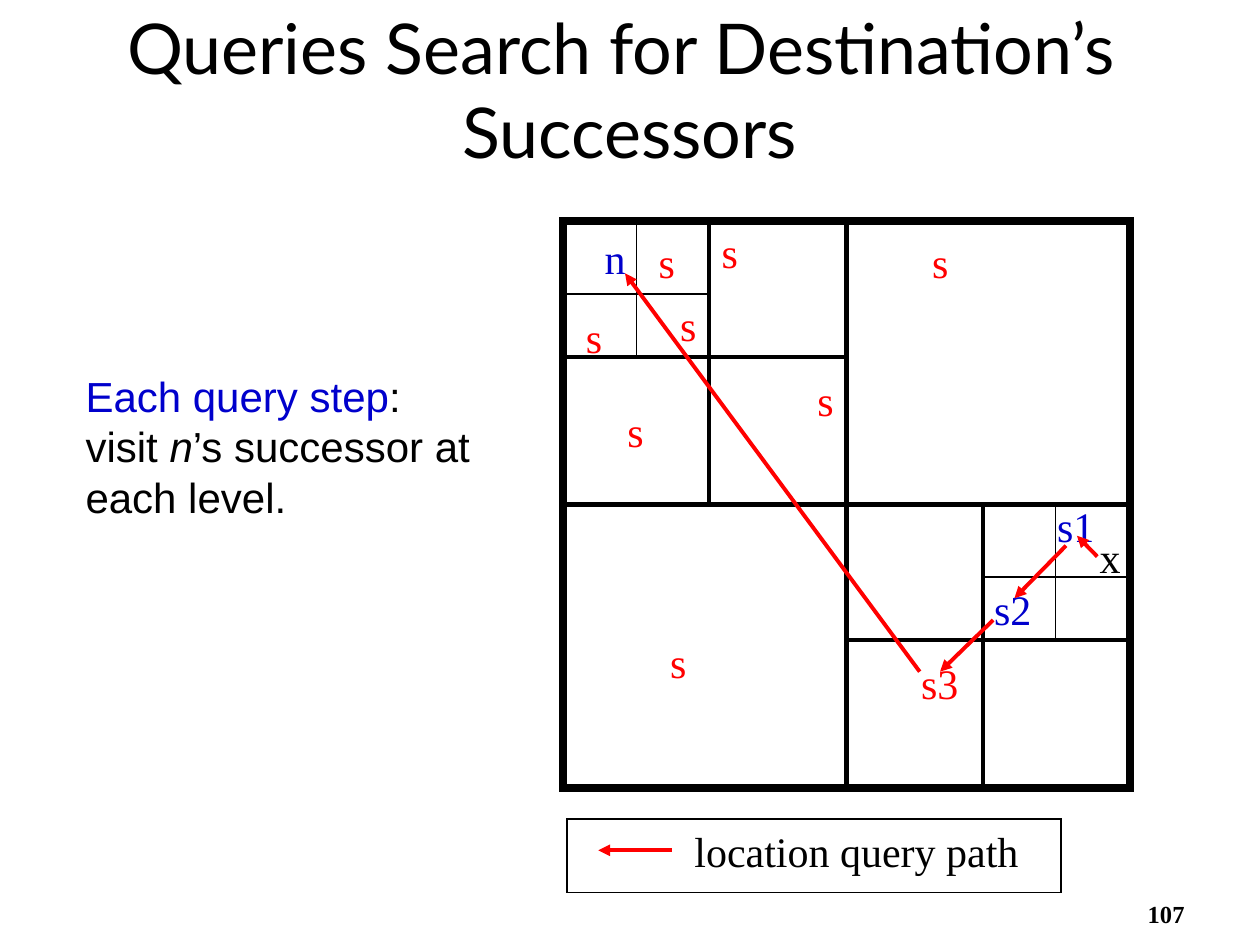
from dataclasses import dataclass

from lxml import etree
from pptx import Presentation
from pptx.dml.color import RGBColor
from pptx.enum.shapes import MSO_CONNECTOR, MSO_SHAPE
from pptx.enum.text import MSO_ANCHOR, MSO_AUTO_SIZE, PP_ALIGN
from pptx.oxml.ns import qn
from pptx.util import Cm, Pt

STRAIGHT = MSO_CONNECTOR.STRAIGHT
RECTANGLE = MSO_SHAPE.RECTANGLE
TOP, BOTTOM = MSO_ANCHOR.TOP, MSO_ANCHOR.BOTTOM
NO_FIT, GROW = MSO_AUTO_SIZE.NONE, MSO_AUTO_SIZE.SHAPE_TO_FIT_TEXT
LEFT, CENTER, RIGHT = PP_ALIGN.LEFT, PP_ALIGN.CENTER, PP_ALIGN.RIGHT


@dataclass(frozen=True)
class Theme:
    black: RGBColor = RGBColor(0, 0, 0)
    blue: RGBColor = RGBColor(0, 0, 0xCC)
    red: RGBColor = RGBColor(0xFF, 0, 0)
    title_font: str = "Lato"
    body_font: str = "Arial"
    label_font: str = "Times New Roman"
    title_size: int = 40
    text_size: int = 24
    number_size: int = 14


class SlideBuilder:
    """Draw styled elements on one slide, with lengths in centimetres."""

    def __init__(self, slide, theme):
        self.slide = slide
        self.theme = theme

    def place(self, shape, left, top, width, height):
        shape.left, shape.top = Cm(left), Cm(top)
        shape.width, shape.height = Cm(width), Cm(height)

    def run(self, paragraph, text, font, size, color, bold=False, italic=False):
        run = paragraph.add_run()
        run.text = text
        run.font.name, run.font.size = font, Pt(size)
        run.font.bold, run.font.italic = bold, italic
        run.font.color.rgb = color

    def title(self, lines, box):
        shape = self.slide.shapes.title
        self.place(shape, *box)
        frame = shape.text_frame
        frame.vertical_anchor, frame.auto_size = BOTTOM, NO_FIT
        paragraph = frame.paragraphs[0]
        paragraph.alignment = CENTER
        for index, line in enumerate(lines):
            if index:
                paragraph.add_line_break()
            self.run(paragraph, line, self.theme.title_font,
                     self.theme.title_size, self.theme.black)

    def body(self, paragraphs, box):
        shape = self.slide.placeholders[1]
        self.place(shape, *box)
        frame = shape.text_frame
        frame.vertical_anchor, frame.auto_size = TOP, NO_FIT
        for index, runs in enumerate(paragraphs):
            paragraph = frame.add_paragraph() if index else frame.paragraphs[0]
            properties = paragraph._p.get_or_add_pPr()
            properties.set("marL", "0")
            properties.set("indent", "0")
            etree.SubElement(properties, qn("a:buNone"))
            paragraph.alignment = LEFT
            paragraph.space_before = Pt(0)
            for text, color, italic in runs:
                self.run(paragraph, text, self.theme.body_font,
                         self.theme.text_size, color, italic=italic)

    def label(self, text, left, top, width, color):
        shape = self.slide.shapes.add_textbox(Cm(left), Cm(top), Cm(width), Cm(1.27))
        frame = shape.text_frame
        frame.word_wrap, frame.auto_size = False, GROW
        self.run(frame.paragraphs[0], text, self.theme.label_font,
                 self.theme.text_size, color)

    def slide_number(self, text, box):
        shape = self.slide.shapes.add_textbox(*map(Cm, box))
        frame = shape.text_frame
        frame.word_wrap, frame.vertical_anchor = True, BOTTOM
        paragraph = frame.paragraphs[0]
        paragraph.alignment = RIGHT
        self.run(paragraph, text, self.theme.label_font,
                 self.theme.number_size, self.theme.black, bold=True)

    def outline(self, box, weight):
        shape = self.slide.shapes.add_shape(RECTANGLE, *map(Cm, box))
        shape.shadow.inherit = False
        shape.fill.background()
        shape.line.color.rgb = self.theme.black
        shape.line.width = Pt(weight)
        etree.SubElement(shape.line._get_or_add_ln(), qn("a:miter"), lim="800000")
        return shape

    def line(self, start, end, weight, color):
        connector = self.slide.shapes.add_connector(STRAIGHT, *map(Cm, start + end))
        connector.line.color.rgb = color
        connector.line.width = Pt(weight)
        etree.SubElement(connector._element.spPr, qn("a:effectLst"))
        return connector

    def bisector(self, square, start, end, begin_site, end_site):
        connector = self.line(start, end, 3, self.theme.black)
        connector.begin_connect(square, begin_site)
        connector.end_connect(square, end_site)

    def arrow(self, start, end):
        connector = self.line(start, end, 2.25, self.theme.red)
        etree.SubElement(connector.line._get_or_add_ln(), qn("a:tailEnd"), type="triangle")

    def cross(self, columns, rows, weight):
        (left, center, right), (top, middle, bottom) = columns, rows
        self.line((center, top), (center, bottom), weight, self.theme.black)
        self.line((left, middle), (right, middle), weight, self.theme.black)


def main():
    theme = Theme()
    presentation = Presentation()
    presentation.slide_width, presentation.slide_height = Cm(25.4), Cm(19.05)
    slide = presentation.slides.add_slide(presentation.slide_layouts[1])
    builder = SlideBuilder(slide, theme)

    builder.title(["Queries Search for Destination’s ", "Successors"],
                  (0, 0.42, 25.4, 3.18))
    builder.body([
        [("Each query step", theme.blue, False), (":", theme.black, False)],
        [("visit ", theme.black, False), ("n", theme.black, True),
         ("’s successor at each level.", theme.black, False)],
    ], (1.47, 7.34, 9.09, 3.3))

    left, top, side = 11.35, 4.45, 11.43
    right, bottom = left + side, top + side
    center, middle = left + side / 2, top + side / 2
    square = builder.outline((left, top, side, side), 4.5)
    builder.bisector(square, (center, top), (center, bottom), 0, 2)
    builder.bisector(square, (left, middle), (right, middle), 1, 3)
    west, east, north, south = 14.3, 19.81, 7.19, 12.9
    builder.cross((left, west, center), (top, north, middle), 2.25)
    builder.cross((center, east, right), (middle, south, bottom), 2.25)
    builder.cross((left, 12.83, west), (top, 5.92, north), 1)
    builder.cross((east, 21.28, right), (middle, 11.63, south), 1)

    successors = [(11.56, 6.15), (13.03, 4.65), (13.46, 5.92), (12.4, 8.05),
                  (14.3, 4.45), (16.23, 7.42), (18.54, 4.65), (13.26, 12.7)]
    for label_left, label_top in successors:
        builder.label("s", label_left, label_top, 0.84, theme.red)
    for text, label_left, label_top, width, color in [
        ("n", 11.94, 4.57, 0.91, theme.blue),
        ("s3", 18.32, 13.13, 1.3, theme.red),
        ("x", 21.92, 10.59, 0.91, theme.black),
        ("s2", 19.79, 11.63, 1.3, theme.blue),
        ("s1", 21.06, 9.96, 1.3, theme.blue),
        ("location query path", 13.75, 16.51, 7.1, theme.black),
    ]:
        builder.label(text, label_left, label_top, width, color)

    for start, end in [
        ((22.12, 11.22), (21.71, 10.8)),
        ((21.49, 11), (20.45, 12.06)),
        ((20.02, 12.5), (18.95, 13.54)),
        ((18.54, 13.54), (12.6, 5.51)),
        ((13.54, 17.14), (12.06, 17.14)),
    ]:
        builder.arrow(start, end)
    builder.outline((11.43, 16.51, 9.96, 1.48), 0.75)
    builder.slide_number("107", (18.85, 17.58, 5.28, 1.27))
    presentation.save("out.pptx")


if __name__ == "__main__":
    main()
